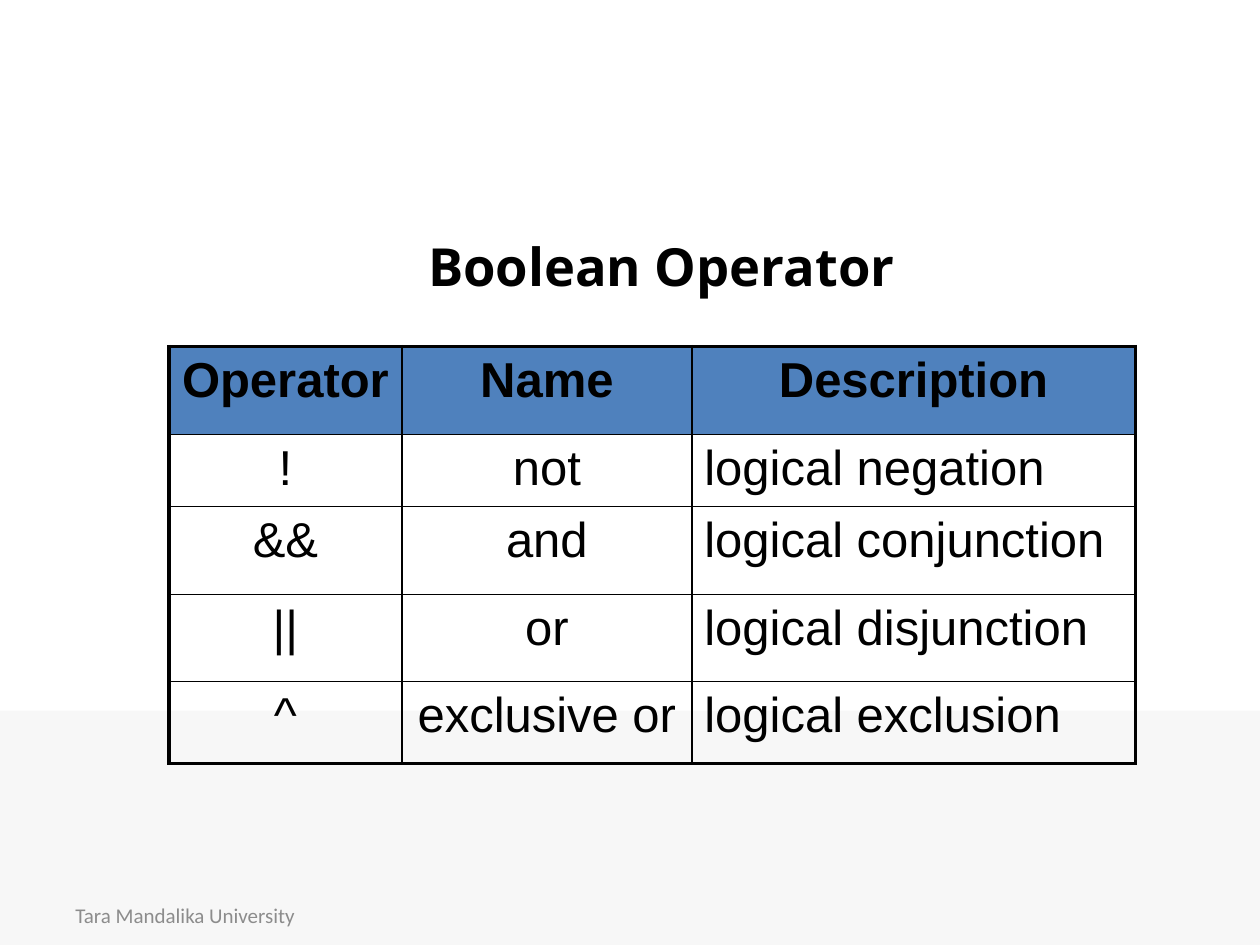
from dataclasses import dataclass
from lxml.etree import SubElement
from pptx import Presentation
from pptx.dml.color import RGBColor
from pptx.enum.shapes import MSO_SHAPE
from pptx.enum.text import MSO_ANCHOR, PP_ALIGN
from pptx.oxml.ns import qn
from pptx.util import Inches, Pt


@dataclass(frozen=True)
class Theme:
    """Colours, fonts and type sizes of the slide."""
    ink: str = "000000"
    muted: str = "8C8C8C"
    band: str = "F7F7F7"
    header: str = "4F81BD"
    title_font: str = "Open Sans"
    table_font: str = "Arial"
    footer_font: str = "Calibri"
    title_size: int = 30
    table_size: int = 28
    footer_size: int = 12
    outer_line: float = 2.25
    inner_line: float = 1


THEME = Theme()
COLUMN_WIDTHS = [1.85, 2.3, 3.52]
ROW_HEIGHTS = [0.7, 0.57, 0.7, 0.69, 0.65]
OPERATORS = [
    ("Operator", "Name", "Description"),
    ("!", "not", "logical negation"),
    ("&&", "and", "logical conjunction"),
    ("||", "or", "logical disjunction"),
    ("^", "exclusive or", "logical exclusion"),
]


def write_text(frame, text, *, font, size, color=THEME.ink, bold=False, align=PP_ALIGN.LEFT):
    """Write one formatted paragraph into a text frame."""
    paragraph = frame.paragraphs[0]
    paragraph.alignment = align
    run = paragraph.add_run()
    run.text = text
    run.font.name = font
    run.font.size = Pt(size)
    run.font.bold = bold
    run.font.color.rgb = RGBColor.from_string(color)


def add_label(slide, text, left, top, width, height, **text_format):
    """Add a vertically centred text box."""
    label = slide.shapes.add_textbox(*map(Inches, (left, top, width, height)))
    label.text_frame.word_wrap = True
    label.text_frame.vertical_anchor = MSO_ANCHOR.MIDDLE
    write_text(label.text_frame, text, **text_format)


def add_band(slide, left, top, width, height):
    """Add the pale band across the foot of the slide."""
    band = slide.shapes.add_shape(MSO_SHAPE.RECTANGLE, *map(Inches, (left, top, width, height)))
    band.shadow.inherit = False
    band.fill.solid()
    band.fill.fore_color.rgb = RGBColor.from_string(THEME.band)
    band.line.fill.background()


def set_borders(cell, outer_sides):
    """Rule a cell with heavier lines on the outer sides."""
    properties = cell._tc.get_or_add_tcPr()
    for side, is_outer in outer_sides.items():
        width = THEME.outer_line if is_outer else THEME.inner_line
        border = SubElement(properties, qn(f"a:ln{side}"), w=str(Pt(width)))
        fill = SubElement(border, qn("a:solidFill"))
        SubElement(fill, qn("a:srgbClr"), val=THEME.ink)


def add_operator_table(slide, left, top):
    """Add the table of operators with its header row."""
    last_row, last_column = len(ROW_HEIGHTS) - 1, len(COLUMN_WIDTHS) - 1
    table = slide.shapes.add_table(
        len(ROW_HEIGHTS), len(COLUMN_WIDTHS), Inches(left), Inches(top),
        Inches(sum(COLUMN_WIDTHS)), Inches(sum(ROW_HEIGHTS))).table
    for column, width in zip(table.columns, COLUMN_WIDTHS):
        column.width = Inches(width)
    for r, (row, height) in enumerate(zip(table.rows, ROW_HEIGHTS)):
        row.height = Inches(height)
        is_header = r == 0
        for c, cell in enumerate(row.cells):
            set_borders(cell, {"L": c == 0, "R": c == last_column,
                               "T": is_header, "B": r == last_row})
            if is_header:
                cell.fill.solid()
                cell.fill.fore_color.rgb = RGBColor.from_string(THEME.header)
            else:
                cell.fill.background()
            is_centred = is_header or c < last_column
            write_text(cell.text_frame, OPERATORS[r][c], font=THEME.table_font,
                       size=THEME.table_size, bold=is_header,
                       align=PP_ALIGN.CENTER if is_centred else PP_ALIGN.LEFT)


def main():
    """Build and save the slide."""
    presentation = Presentation()
    presentation.slide_width, presentation.slide_height = Inches(10), Inches(7.5)
    slide = presentation.slides.add_slide(presentation.slide_layouts[6])
    add_band(slide, 0, 5.64, 10, 1.86)
    add_label(slide, "Tara Mandalika University", 0.5, 7.06, 2.33, 0.4,
              font=THEME.footer_font, size=THEME.footer_size, color=THEME.muted)
    add_label(slide, "Boolean Operator", 0.75, 1.48, 9, 1.25, font=THEME.title_font,
              size=THEME.title_size, bold=True, align=PP_ALIGN.CENTER)
    add_operator_table(slide, 1.34, 2.75)
    presentation.save("out.pptx")


main()
